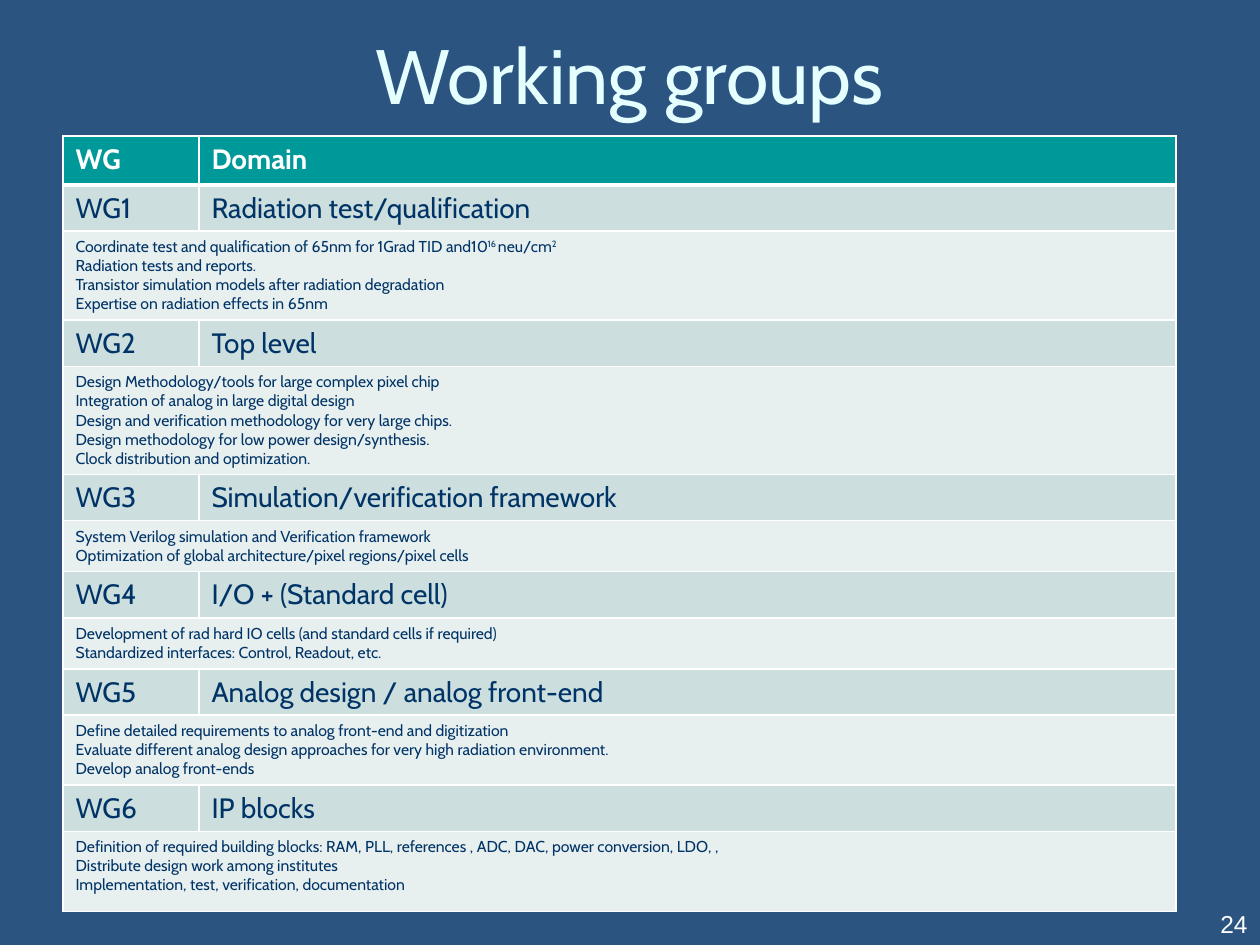
import pptx
import pptx.dml.color
import pptx.enum.text
import pptx.oxml
import pptx.oxml.ns
import pptx.util

ALIGN = pptx.enum.text.PP_ALIGN
ANCHOR = pptx.enum.text.MSO_ANCHOR
NAVY, WHITE = "003366", "FFFFFF"
LINE_HEIGHT, CELL_PADDING = 19, 13
HEADER_HEIGHT, GROUP_HEIGHT = 49, 46

GROUPS = [
    ("Radiation test/qualification", [
        "Coordinate test and qualification of 65nm for 1Grad TID and10^16 ^neu/cm^2^",
        "Radiation tests and reports.",
        "Transistor simulation models after radiation degradation",
        "Expertise on radiation effects in 65nm"]),
    ("Top level", [
        "Design Methodology/tools for large complex pixel chip",
        "Integration of analog in large digital design",
        "Design and verification methodology for very large chips.",
        "Design methodology for low power design/synthesis.",
        "Clock distribution and optimization."]),
    ("Simulation/verification framework", [
        "System Verilog simulation and Verification framework",
        "Optimization of global architecture/pixel regions/pixel cells"]),
    ("I/O + (Standard cell)", [
        "Development of rad hard IO cells (and standard cells if required)",
        "Standardized interfaces: Control, Readout, etc."]),
    ("Analog design / analog front-end", [
        "Define detailed requirements to analog front-end and digitization",
        "Evaluate different analog design approaches for very high radiation environment.",
        "Develop analog front-ends"]),
    ("IP blocks", [
        "Definition of required building blocks: RAM, PLL, references , ADC, DAC, power conversion, LDO, ,",
        "Distribute design work among institutes",
        "Implementation, test, verification, documentation"]),
]


def px(length):
    """Turn pixels at 126 to the inch into EMU."""
    return pptx.util.Emu(round(length * 914400 / 126))


def colour(value):
    """Turn a hex string into a colour."""
    return pptx.dml.color.RGBColor.from_string(value)


def write(frame, lines, size=16, font="Cabin", hue=NAVY, bold=False,
          align=ALIGN.LEFT, anchor=ANCHOR.TOP):
    """Fill a text frame with lines, raising whatever stands between carets."""
    frame.word_wrap = True
    frame.vertical_anchor = anchor
    for number, line in enumerate(lines):
        para = frame.add_paragraph() if number else frame.paragraphs[0]
        para.alignment = align
        for part, words in enumerate(line.split("^")):
            if not words:
                continue
            span = para.add_run()
            span.text = words
            span.font.size = pptx.util.Pt(size)
            span.font.name = font
            span.font.bold = bold
            span.font.color.rgb = colour(hue)
            if part % 2:
                span.font._element.set("baseline", "30000")


def style_cell(cell, fill, top=1, bottom=1):
    """Give a cell its white borders, in points, and its fill."""
    properties = cell._tc.get_or_add_tcPr()
    for side, width in zip("LRTB", (1, 1, top, bottom)):
        properties.append(pptx.oxml.parse_xml(
            f'<a:ln{side} {pptx.oxml.ns.nsdecls("a")} w="{pptx.util.Pt(width)}">'
            f'<a:solidFill><a:srgbClr val="{WHITE}"/></a:solidFill></a:ln{side}>'))
    cell.fill.solid()
    cell.fill.fore_color.rgb = colour(fill)


def fill_row(table, index, texts, height, fill, top=1, bottom=1, **format):
    """Write one row of the table, one list of lines for each cell."""
    table.rows[index].height = px(height)
    cells = list(table.rows[index].cells)
    for cell in cells:
        style_cell(cell, fill, top, bottom)
    if len(texts) < len(cells):
        cells[0].merge(cells[-1])
    for cell, lines in zip(cells, texts):
        write(cell.text_frame, lines, **format)


def add_title(page, text):
    """Place the slide title."""
    title = page.shapes.title
    title.left, title.top, title.width, title.height = map(px, (63, 21, 1134, 105))
    write(title.text_frame, [text], size=44, hue="E5FFFF",
          align=ALIGN.CENTER, anchor=ANCHOR.MIDDLE)


def add_page_number(page, text):
    """Place the page number in the bottom right corner."""
    box = page.shapes.add_textbox(*map(px, (1197, 879, 63, 66)))
    write(box.text_frame, [text], size=14, font="Arial", hue=WHITE,
          align=ALIGN.RIGHT, anchor=ANCHOR.BOTTOM)


def add_group_table(page):
    """Draw the table with a heading row and a detail row for each group."""
    table = page.shapes.add_table(
        1 + 2 * len(GROUPS), 2, *map(px, (63, 136, 1113, 774))).table
    for column, width in zip(table.columns, (136, 977)):
        column.width = px(width)
    fill_row(table, 0, [["WG"], ["Domain"]], HEADER_HEIGHT, "009999",
             bottom=3, hue=WHITE, bold=True)
    for number, (domain, details) in enumerate(GROUPS, 1):
        first, last = number == 1, number == len(GROUPS)
        fill_row(table, 2 * number - 1, [[f"WG{number}"], [domain]],
                 GROUP_HEIGHT, "CCDEDE", top=3 if first else 1)
        height = 80 if last else CELL_PADDING + LINE_HEIGHT * len(details)
        fill_row(table, 2 * number, [details], height, "E7EFEF", size=9)


def main():
    """Build the slide and save it."""
    deck = pptx.Presentation()
    deck.slide_width, deck.slide_height = px(1260), px(945)
    page = deck.slides.add_slide(deck.slide_layouts[5])
    page.background.fill.solid()
    page.background.fill.fore_color.rgb = colour("2B5481")
    add_title(page, "Working groups")
    add_page_number(page, "24")
    add_group_table(page)
    deck.save("out.pptx")


if __name__ == "__main__":
    main()
